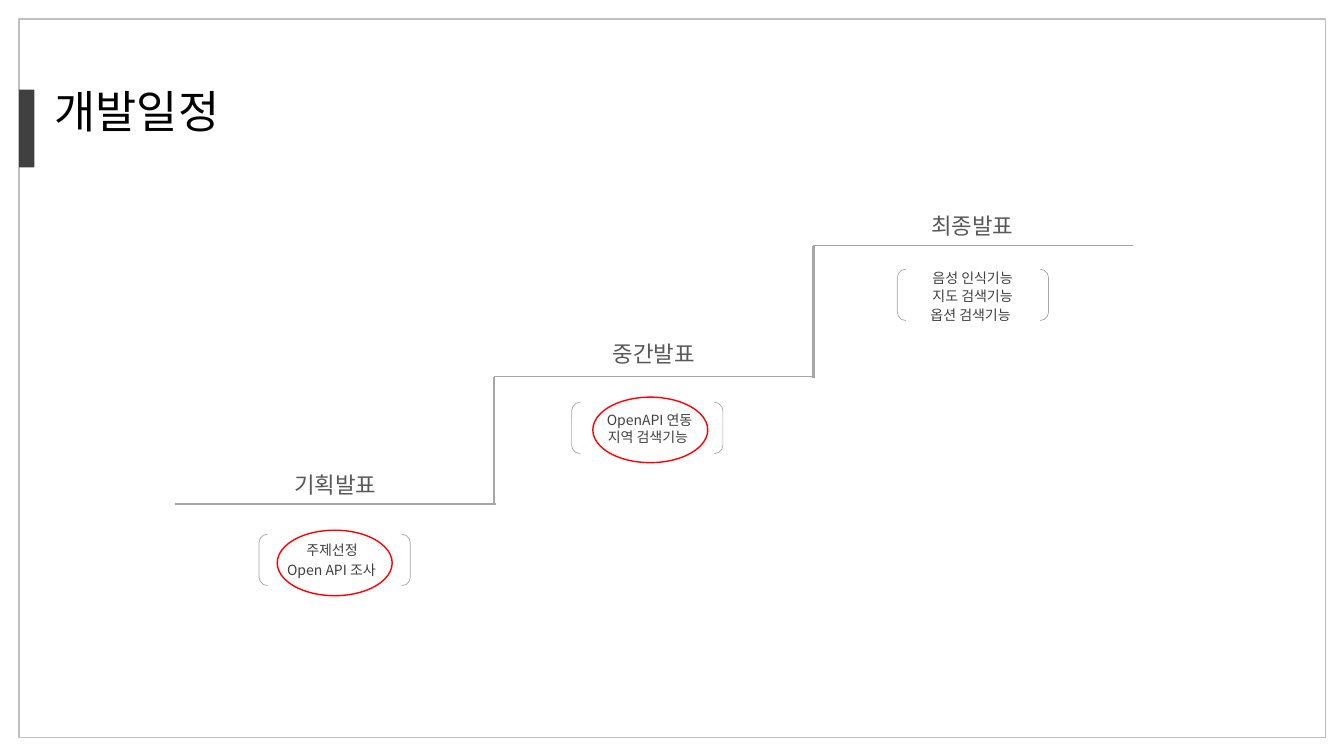
from lxml.etree import SubElement
from pptx import Presentation
from pptx.dml.color import RGBColor
from pptx.enum.shapes import MSO_CONNECTOR, MSO_SHAPE
from pptx.enum.text import MSO_ANCHOR, MSO_AUTO_SIZE, PP_ALIGN
from pptx.oxml.ns import qn
from pptx.util import Inches, Pt

FONT = "Noto Sans CJK KR"
COLORS = {"title": "000000", "label": "595959", "detail": "404040", "bar": "404040",
          "frame": "BFBFBF", "step": "A6A6A6", "highlight": "FF0000", "white": "FFFFFF"}

presentation = Presentation()
presentation.slide_width, presentation.slide_height = Inches(13.33), Inches(7.5)
slide = presentation.slides.add_slide(presentation.slide_layouts[5])


def add_outline(kind, box, fill=None, line=None, width=1):
    shape = slide.shapes.add_shape(kind, *map(Inches, box))
    shape.shadow.inherit = False
    if fill:
        shape.fill.solid()
        shape.fill.fore_color.rgb = RGBColor.from_string(COLORS[fill])
    else:
        shape.fill.background()
    if line:
        shape.line.color.rgb = RGBColor.from_string(COLORS[line])
        shape.line.width = Pt(width)
    else:
        shape.line.fill.background()


def write_text(shape, text, size, color, align=PP_ALIGN.LEFT, wrap=True):
    frame_format = {"word_wrap": wrap, "auto_size": MSO_AUTO_SIZE.SHAPE_TO_FIT_TEXT,
                    "vertical_anchor": MSO_ANCHOR.TOP}
    for name, value in frame_format.items():
        setattr(shape.text_frame, name, value)
    paragraph = shape.text_frame.paragraphs[0]
    paragraph.alignment = align
    run = paragraph.add_run()
    run.text = text
    for name, value in {"name": FONT, "size": Pt(size), "bold": False}.items():
        setattr(run.font, name, value)
    run.font.color.rgb = RGBColor.from_string(COLORS[color])
    SubElement(run.font._element, qn("a:ea"), typeface=FONT)


# Red highlights behind the finished milestones
for left, top in [(5.88, 3.94), (2.75, 5.26)]:
    add_outline(MSO_SHAPE.OVAL, (left, top, 1.14, 0.65), "white", "highlight")

# Page frame, accent bar and title
add_outline(MSO_SHAPE.RECTANGLE, (0.19, 0.19, 12.96, 7.13), line="frame")
add_outline(MSO_SHAPE.RECTANGLE, (0.19, 0.89, 0.15, 0.77), fill="bar")
title = slide.shapes.title
title_box = {"left": 0.44, "top": 0.78, "width": 5.31, "height": 0.64}
for name, value in title_box.items():
    setattr(title, name, Inches(value))
write_text(title, "개발일정", 32, "title")

# Staircase: three treads and two risers
tread_tops = [5, 3.74, 2.44]
tread_lefts = [1.74 + 3.16 * step for step in range(3)]
stair_lines = [(left, top, left + 3.18, top, 0.75) for left, top in zip(tread_lefts, tread_tops)]
stair_lines += [(4.9, 3.74, 4.9, 5, 2), (8.07, 2.44, 8.07, 3.75, 2)]
for *ends, width in stair_lines:
    connector = slide.shapes.add_connector(MSO_CONNECTOR.STRAIGHT, *map(Inches, ends))
    connector.line.color.rgb = RGBColor.from_string(COLORS["step"])
    connector.line.width = Pt(width)
    SubElement(connector._element.spPr, qn("a:effectLst"))

# Milestones: label, label top, bracket corner, details as (text, left, top, width)
milestones = [
    ("기획발표", 4.62, (2.57, 5.3),
     [("주제선정", 2.94, 5.32, 0.76), ("Open API 조사", 2.75, 5.52, 1.14)]),
    ("중간발표", 3.33, (5.67, 3.99),
     [("OpenAPI 연동", 5.92, 4.03, 1.09), ("지역 검색기능", 5.93, 4.2, 1.09)]),
    ("최종발표", 2.06, (8.9, 2.67),
     [("음성 인식기능", 9.15, 2.62, 1.09), ("지도 검색기능", 9.15, 2.8, 1.09),
      ("옵션 검색기능", 9.13, 2.99, 1.09)]),
]
for tread_left, (label, label_top, bracket, details) in zip(tread_lefts, milestones):
    label_box = (tread_left - 0.57, label_top, 4.31, 0.37)
    write_text(slide.shapes.add_textbox(*map(Inches, label_box)), label, 16, "label",
               PP_ALIGN.CENTER)
    add_outline(MSO_SHAPE.DOUBLE_BRACKET, (*bracket, 1.5, 0.51), line="step", width=0.5)
    for text, *corner_and_width in details:
        detail_box = (*corner_and_width, 0.27)
        write_text(slide.shapes.add_textbox(*map(Inches, detail_box)), text, 10, "detail",
                   wrap=False)

presentation.save("out.pptx")
